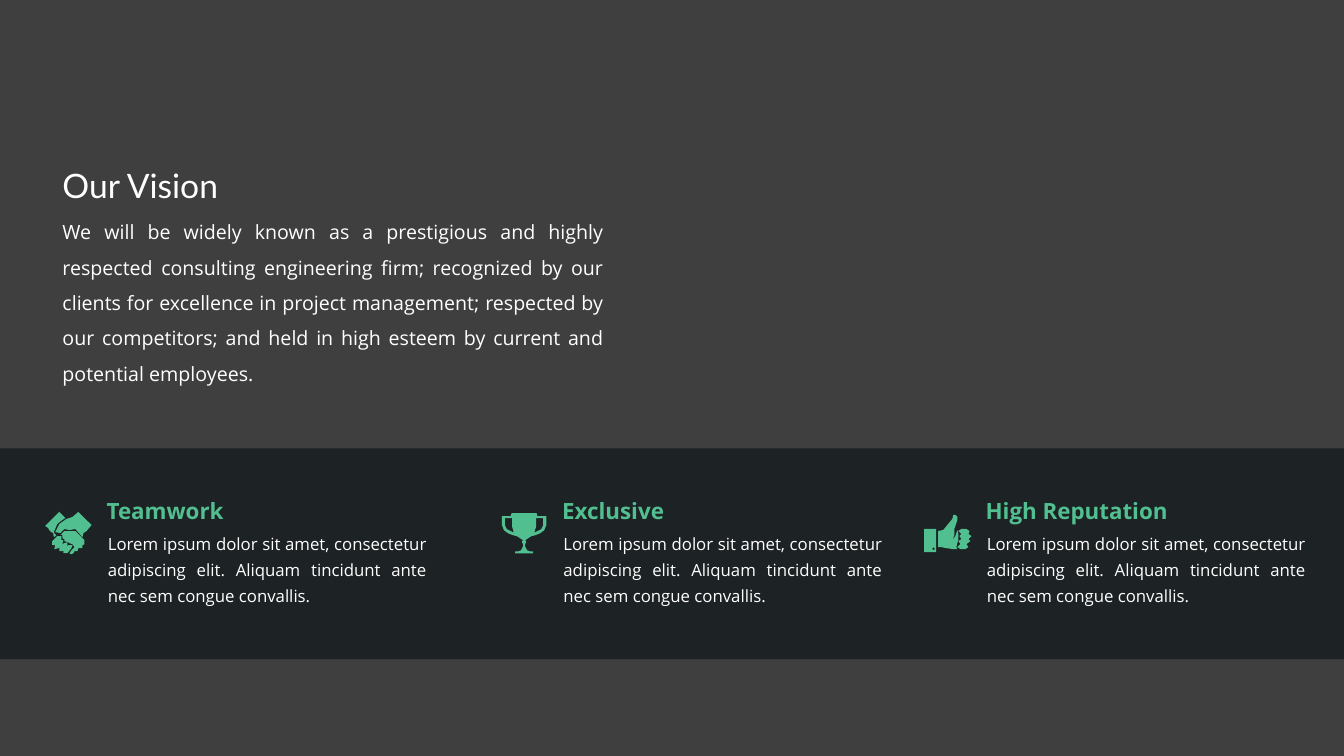
import lxml.etree
import pptx
import pptx.dml.color
import pptx.enum.shapes
import pptx.enum.text
import pptx.oxml.ns
import pptx.util

Cm = pptx.util.Cm
ALIGN = pptx.enum.text.PP_ALIGN
ANCHOR = pptx.enum.text.MSO_ANCHOR
WHITE, GREEN, GREY, BAND = "FFFFFF", "52BF90", "3F3F3F", "181E20"
UNIT = Cm(2.54) / 100

VISION = (
    "We will be widely known as a prestigious and highly respected consulting "
    "engineering firm; recognized by our clients for excellence in project "
    "management; respected by our competitors; and held in high esteem by "
    "current and potential employees."
)
LOREM = (
    "Lorem ipsum dolor sit amet, consectetur adipiscing elit. "
    "Aliquam tincidunt ante nec sem congue convallis."
)

HANDSHAKE = [
    [(6, 20), (4, 18), (3, 16), (0, 14), (14, 0), (20, 6), (17, 8), (12, 12),
     (9, 19), (9, 21), (11, 23), (9, 25), (8, 23), (8, 21)],
    [(30, 19), (19, 19), (16, 22), (15, 22), (17, 23), (17, 26), (19, 27),
     (19, 29), (23, 30), (24, 31), (27, 32), (29, 35), (27, 37), (24, 41),
     (26, 42), (28, 41), (29, 39), (32, 39), (33, 36), (37, 36), (37, 33),
     (39, 32), (39, 28)],
    [(27, 33), (23, 33), (22, 34), (22, 30), (19, 31), (17, 32), (18, 28),
     (16, 28), (16, 24), (12, 24), (7, 29), (7, 33), (10, 33), (9, 37),
     (13, 36), (14, 35), (14, 39), (17, 39), (18, 38), (18, 41), (22, 41),
     (26, 36)],
    [(33, 0), (27, 5), (21, 7), (14, 12), (10, 20), (15, 21), (19, 17),
     (24, 18), (30, 17), (37, 25), (38, 21), (41, 19), (46, 13)],
]
CUP_HALF = [
    (10, 0), (9, 1), (9, 3), (0, 3), (0, 12), (2, 17), (6, 20), (11, 22),
    (15, 23), (18, 25), (21, 27), (20, 28), (20, 30), (21, 30), (21, 33),
    (19, 37), (16, 38), (13, 38), (13, 40),
]
CUP_HANDLE = [(11, 19), (5, 16), (3, 12), (3, 5), (10, 5), (10, 13), (12, 20)]
THUMB = [
    [(32, 33), (33, 35), (29, 35), (22, 34), (17, 33), (14, 33), (14, 17),
     (19, 16), (23, 11), (28, 5), (29, 1), (31, 1), (33, 3), (33, 6), (30, 15),
     (30, 21), (28, 26), (31, 22), (33, 16), (34, 20), (34, 25), (33, 29)],
    [(47, 22), (44, 20), (45, 17), (42, 15), (37, 15), (34, 17), (37, 20),
     (35, 22), (37, 25), (34, 27), (36, 30), (33, 33), (36, 35), (41, 35),
     (44, 33), (42, 30), (46, 27), (44, 25)],
    [(0, 15), (12, 15), (12, 38), (0, 38)],
    [(8, 35), (9, 36), (11, 35), (9, 33)],
]


def mirror(points):
    """Reflect trophy points about its vertical axis."""
    return [(44 - x, y) for x, y in reversed(points)]


TROPHY = [CUP_HALF + mirror(CUP_HALF), CUP_HANDLE, mirror(CUP_HANDLE)]
FEATURES = [
    ("Teamwork", 2.36, HANDSHAKE, (1.14, 12.9)),
    ("Exclusive", 13.84, TROPHY, (12.65, 12.93)),
    ("High Reputation", 24.51, THUMB, (23.29, 12.95)),
]


def rgb(value):
    """Turn a hex string into a colour."""
    return pptx.dml.color.RGBColor.from_string(value)


def apply(obj, values):
    """Set each attribute in the dict on the object."""
    for name, value in values.items():
        setattr(obj, name, value)


def paint(sp, color):
    """Give a shape a plain fill with no line or shadow."""
    sp.shadow.inherit = False
    sp.fill.solid()
    sp.fill.fore_color.rgb = rgb(color)
    sp.line.fill.background()


def write(sp, text, size, color=WHITE, font="Open Sans", bold=False,
          frame=None, para=None):
    """Fill a text shape with one formatted paragraph."""
    tf = sp.text_frame
    apply(tf, {"word_wrap": True, "auto_size": pptx.enum.text.MSO_AUTO_SIZE.NONE,
               "vertical_anchor": ANCHOR.TOP, **(frame or {})})
    p = tf.paragraphs[0]
    apply(p, {"alignment": ALIGN.LEFT, "line_spacing": 1.0,
              "space_before": pptx.util.Pt(0), **(para or {})})
    r = p.add_run()
    r.text = text
    apply(r.font, {"name": font, "size": pptx.util.Pt(size), "bold": bold})
    r.font.color.rgb = rgb(color)


def place(sp, left, top, width, height):
    """Move and size a placeholder."""
    apply(sp, {"left": Cm(left), "top": Cm(top),
               "width": Cm(width), "height": Cm(height)})


def remove_bullet(p):
    """Drop the bullet and indent of a list paragraph."""
    pPr = p._p.get_or_add_pPr()
    pPr.set("marL", "0")
    pPr.set("indent", "0")
    lxml.etree.SubElement(pPr, pptx.oxml.ns.qn("a:buNone"))


def add_band(s):
    """Draw the translucent strip behind the features."""
    sp = s.shapes.add_shape(pptx.enum.shapes.MSO_SHAPE.RECTANGLE,
                            0, Cm(11.3), Cm(33.87), Cm(5.31))
    paint(sp, BAND)
    clr = sp.fill._xPr.find(".//" + pptx.oxml.ns.qn("a:srgbClr"))
    lxml.etree.SubElement(clr, pptx.oxml.ns.qn("a:alpha")).set("val", "85000")


def add_icon(s, contours, left, top):
    """Draw an icon from closed contours."""
    fb = s.shapes.build_freeform(*contours[0][0], scale=UNIT)
    for i, points in enumerate(contours):
        if i:
            fb.move_to(*points[0])
        fb.add_line_segments(points[1:], close=True)
    paint(fb.convert_to_shape(Cm(left), Cm(top)), GREEN)


def add_text(s, box, text, size, inset, **style):
    """Add a vertically centred text box."""
    sp = s.shapes.add_textbox(*map(Cm, box))
    frame = {"vertical_anchor": ANCHOR.MIDDLE,
             "margin_left": Cm(0.33), "margin_right": Cm(0.33),
             "margin_top": Cm(inset), "margin_bottom": Cm(inset)}
    write(sp, text, size, frame=frame, **style)


def add_feature(s, heading, left, icon, icon_at):
    """Add an icon with its heading and description."""
    add_text(s, (left, 12.52, 6.78, 0.69), heading, 16, 0, color=GREEN, bold=True)
    add_text(s, (left + 0.03, 13.11, 8.7, 2.34), LOREM, 12, 0.17,
             para={"alignment": ALIGN.JUSTIFY, "line_spacing": 1.3})
    add_icon(s, icon, *icon_at)


def main():
    """Build the vision slide."""
    prs = pptx.Presentation()
    apply(prs, {"slide_width": Cm(33.87), "slide_height": Cm(19.05)})
    s = prs.slides.add_slide(prs.slide_layouts[1])
    s.background.fill.solid()
    s.background.fill.fore_color.rgb = rgb(GREY)

    title, body = s.placeholders
    place(title, 1.32, 4.04, 11, 1.27)
    write(title, "Our Vision", 24, font="Lato")
    place(body, 1.32, 5.13, 14.15, 4.22)
    write(body, VISION, 14,
          para={"alignment": ALIGN.JUSTIFY, "line_spacing": 1.5})
    remove_bullet(body.text_frame.paragraphs[0])

    add_band(s)
    for feature in FEATURES:
        add_feature(s, *feature)
    prs.save("out.pptx")


if __name__ == "__main__":
    main()
